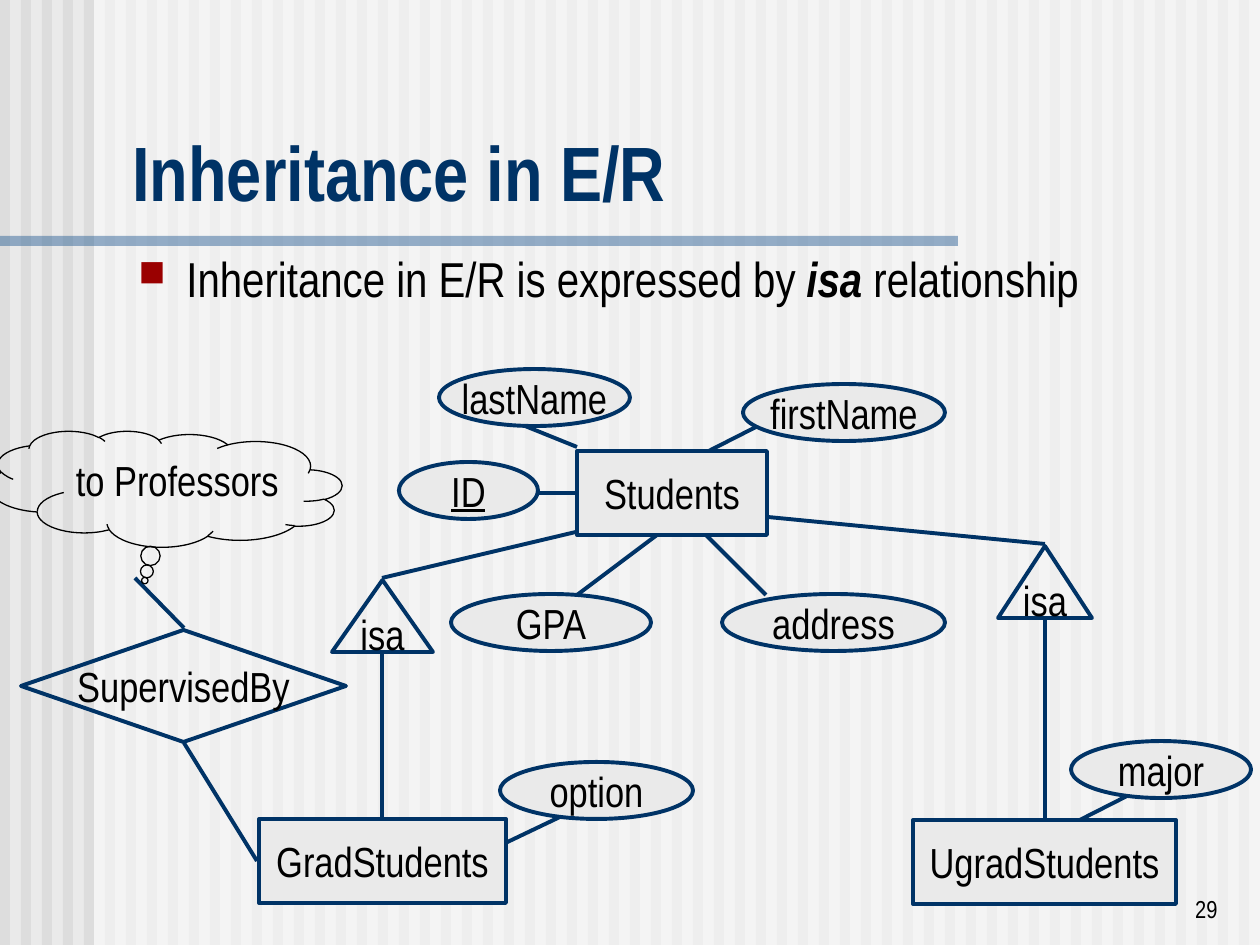
"""Build a slide on inheritance in E/R diagrams."""
from lxml.etree import SubElement
from pptx import Presentation
from pptx.dml.color import RGBColor
from pptx.enum.shapes import MSO_CONNECTOR as CONN, MSO_SHAPE as SHAPE
from pptx.enum.text import MSO_ANCHOR as ANCHOR, PP_ALIGN as ALIGN
from pptx.oxml.ns import qn
from pptx.util import Pt

SCALE = 914400 / 126
FONT = "Arial Narrow"
COLORS = {
    "back": "EAEAEA", "stripe": "DDDDDD", "white": "FFFFFF", "bar": "336699",
    "navy": "003366", "black": "000000", "bullet": "9A0000",
}

ATTRIBUTES = [
    ("option", 500, 762, 193), ("major", 1071, 741, 180),
    ("GPA", 451, 594, 200), ("address", 722, 594, 223),
    ("ID", 399, 462, 139), ("firstName", 743, 384, 202),
    ("lastName", 439, 369, 191),
]
ENTITIES = [
    ("GradStudents", 259, 819, 247), ("UgradStudents", 913, 820, 263),
    ("Students", 577, 451, 190),
]
ISA = [("isa", 332, 580, 101), ("isa", 998, 546, 94)]
RELATIONSHIPS = [("SupervisedBy", 21, 630, 325)]
NODE_KINDS = [
    (SHAPE.OVAL, 57, "back", ATTRIBUTES),
    (SHAPE.RECTANGLE, 84, "back", ENTITIES),
    (SHAPE.ISOSCELES_TRIANGLE, 72, None, ISA),
    (SHAPE.DIAMOND, 112, None, RELATIONSHIPS),
]
LINKS = [
    (562, 816, 495, 848), (639, 517, 382, 578), (382, 653, 382, 817),
    (257, 861, 184, 743), (184, 628, 135, 578), (1129, 795, 1066, 827),
    (768, 517, 1045, 544), (1045, 619, 1045, 818), (577, 595, 661, 532),
    (766, 595, 703, 532), (535, 493, 577, 493), (756, 427, 693, 459),
    (525, 426, 577, 447),
]


def px(n):
    """Turn px into EMU."""
    return round(n * SCALE)


def rgb(name):
    """Look up a named colour."""
    return RGBColor.from_string(COLORS[name])


def add_run(p, text, color="black", **fmt):
    """Add a run with its font format."""
    r = p.add_run()
    r.text = text
    r.font.color.rgb = rgb(color)
    for key, value in {"name": FONT, **fmt}.items():
        setattr(r.font, key, value)


def set_frame(sp, wrap, anchor, align):
    """Set up the text frame and return its first paragraph."""
    tf = sp.text_frame
    tf.word_wrap, tf.vertical_anchor = wrap, anchor
    p = tf.paragraphs[0]
    p.alignment = align
    return p


def add_shape(s, kind, box, fill=None, line=None, width=2.25, alpha=None):
    """Add a preset shape with optional fill, outline and opacity."""
    sp = s.shapes.add_shape(kind, *map(px, box))
    sp.shadow.inherit = False
    if fill:
        sp.fill.solid()
        sp.fill.fore_color.rgb = rgb(fill)
    else:
        sp.fill.background()
    if line:
        sp.line.color.rgb = rgb(line)
        sp.line.width = Pt(width)
    else:
        sp.line.fill.background()
    if alpha:
        clr = sp.fill._xPr.find(".//" + qn("a:srgbClr"))
        SubElement(clr, qn("a:alpha"), val=str(alpha * 1000))
    return sp


def add_backdrop(s):
    """Add the striped background and the title bar."""
    s.background.fill.solid()
    s.background.fill.fore_color.rgb = rgb("back")
    for i in range(60):
        add_shape(s, SHAPE.RECTANGLE, (i * 21, 0, 10, 945), "stripe")
    add_shape(s, SHAPE.RECTANGLE, (94, 0, 1166, 945), "white", alpha=50)
    add_shape(s, SHAPE.RECTANGLE, (0, 236, 958, 10), "bar", alpha=50)


def add_link(s, x1, y1, x2, y2):
    """Add a straight link between two diagram nodes."""
    line = s.shapes.add_connector(CONN.STRAIGHT, *map(px, (x1, y1, x2, y2)))
    line.line.color.rgb = rgb("navy")
    line.line.width = Pt(2.25)
    SubElement(line._element.spPr, qn("a:effectLst"))


def add_node(s, kind, box, fill, text):
    """Add a labelled diagram node, underlining the key attribute."""
    sp = add_shape(s, kind, box, fill, "navy")
    p = set_frame(sp, False, ANCHOR.MIDDLE, ALIGN.CENTER)
    add_run(p, text, size=Pt(24), underline=text == "ID")


def add_cloud(s):
    """Add the mirrored cloud callout."""
    sp = add_shape(s, SHAPE.CLOUD_CALLOUT, (-10, 431, 352, 116),
                   line="black", width=0.75)
    sp.adjustments[0], sp.adjustments[1] = 0.06, 0.79
    sp._element.spPr.xfrm.set("flipH", "1")
    p = set_frame(sp, True, ANCHOR.TOP, ALIGN.LEFT)
    add_run(p, "to Professors", size=Pt(24))


def add_text(s, box, anchor=ANCHOR.BOTTOM, align=ALIGN.LEFT):
    """Add a wrapping text box and return its first paragraph."""
    return set_frame(s.shapes.add_textbox(*map(px, box)), True, anchor, align)


def add_bullet(p, indent):
    """Give a paragraph a square bullet and a hanging indent."""
    pPr = p._p.get_or_add_pPr()
    pPr.set("marL", str(px(indent)))
    pPr.set("indent", str(-px(indent)))
    clr = SubElement(pPr, qn("a:buClr"))
    SubElement(clr, qn("a:srgbClr"), val=COLORS["bullet"])
    SubElement(pPr, qn("a:buSzPct"), val="75000")
    SubElement(pPr, qn("a:buChar"), char="■")


def main():
    """Build and save the slide."""
    prs = Presentation()
    prs.slide_width, prs.slide_height = px(1260), px(945)
    s = prs.slides.add_slide(prs.slide_layouts[6])
    add_backdrop(s)

    add_run(add_text(s, (120, 118, 1125, 105)), "Inheritance in E/R", "navy",
            size=Pt(44), bold=True)
    p = add_text(s, (126, 242, 1118, 116), ANCHOR.TOP)
    add_bullet(p, 48)
    add_run(p, "Inheritance in E/R is expressed by ", size=Pt(28))
    add_run(p, "isa", size=Pt(28), bold=True, italic=True)
    add_run(p, " relationship", size=Pt(28))

    for link in LINKS:
        add_link(s, *link)
    for kind, height, fill, nodes in NODE_KINDS:
        for text, x, y, width in nodes:
            add_node(s, kind, (x, y, width, height), fill, text)
    add_cloud(s)
    add_run(add_text(s, (968, 867, 262, 63), align=ALIGN.RIGHT), "29",
            size=Pt(14))
    prs.save("out.pptx")


if __name__ == "__main__":
    main()
